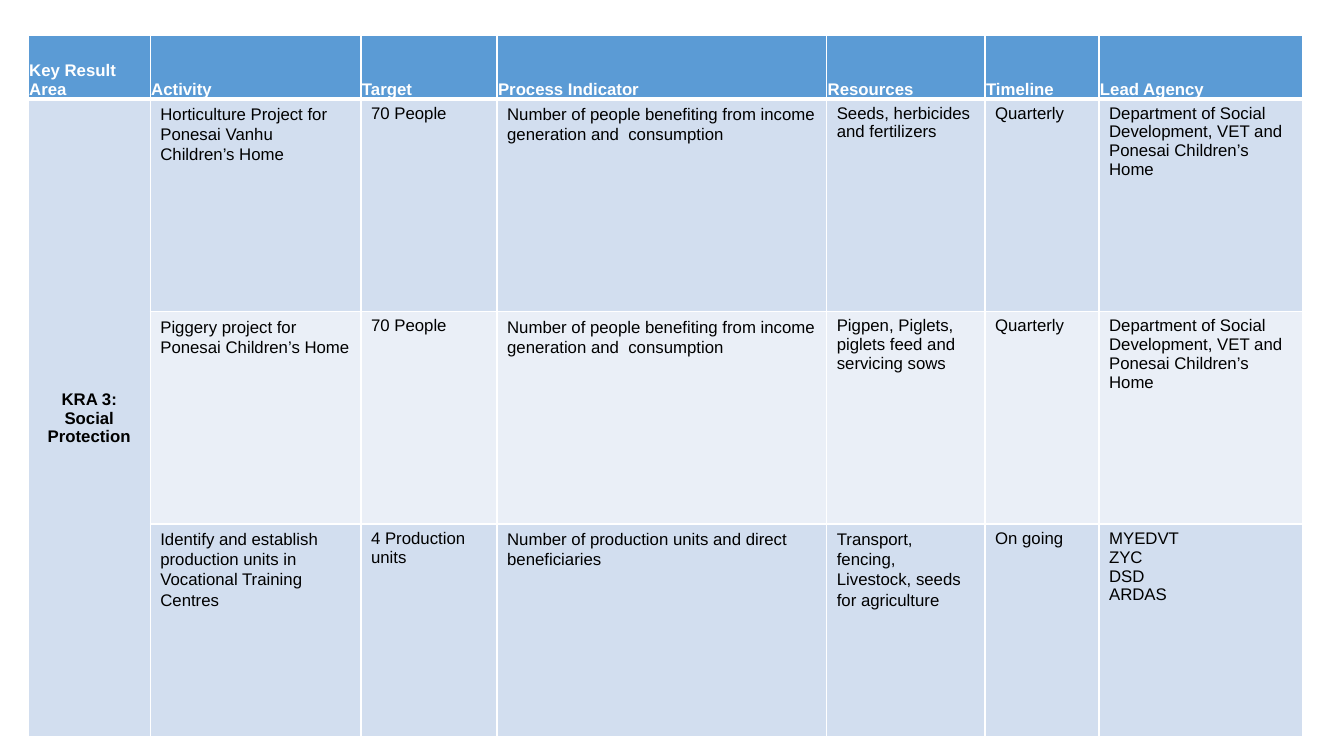
"""Build a slide with the social protection work plan table."""
from dataclasses import dataclass

import lxml.etree
import pptx
import pptx.dml.color
import pptx.enum.text
import pptx.oxml.ns
import pptx.table
import pptx.util

SLIDE_WIDTH = pptx.util.Inches(13.33)
SLIDE_HEIGHT = pptx.util.Inches(7.5)
LEFT, TOP = 2.1, 4.67
COLUMN_SHARES = [9.08, 15.68, 10.13, 24.53, 11.78, 8.48, 15.15]
ROW_SHARES = [8.4, 28.13, 28.13, 28.13]
HEADER_FILL, DARK_BAND, LIGHT_BAND = "5B9BD5", "D2DEEF", "EAEFF7"
WHITE, BLACK = "FFFFFF", "000000"
THIN, THICK = 1, 3
ANCHOR = pptx.enum.text.MSO_ANCHOR
ALIGN = pptx.enum.text.PP_ALIGN


@dataclass(frozen=True)
class Entry:
    text: str
    loose: bool = False


HEADINGS = ["Key Result Area", "Activity", "Target", "Process Indicator",
            "Resources", "Timeline", "Lead Agency"]
BENEFIT = Entry("Number of people benefiting from income generation and  consumption", True)
DEPARTMENT = Entry("Department of Social Development, VET and Ponesai Children’s Home")
ACTIVITIES = [
    [Entry("Horticulture Project for Ponesai Vanhu Children’s Home", True),
     Entry("70 People"), BENEFIT, Entry("Seeds, herbicides and fertilizers"),
     Entry("Quarterly"), DEPARTMENT],
    [Entry("Piggery project for Ponesai Children’s Home", True),
     Entry("70 People"), BENEFIT,
     Entry("Pigpen, Piglets, piglets feed and servicing sows"),
     Entry("Quarterly"), DEPARTMENT],
    [Entry("Identify and establish production units in Vocational Training Centres", True),
     Entry("4 Production units"),
     Entry("Number of production units and direct beneficiaries", True),
     Entry("Transport, fencing, Livestock, seeds for agriculture", True),
     Entry("On going"), Entry("MYEDVT\nZYC\nDSD\nARDAS")],
]


def across(share: float) -> int:
    """Return a percentage of the slide width."""
    return round(SLIDE_WIDTH * share / 100)


def down(share: float) -> int:
    """Return a percentage of the slide height."""
    return round(SLIDE_HEIGHT * share / 100)


def color(value: str) -> pptx.dml.color.RGBColor:
    """Turn a hex string into a colour."""
    return pptx.dml.color.RGBColor.from_string(value)


def set_borders(cell: pptx.table._Cell, top: int, bottom: int) -> None:
    """Give a cell white borders, ahead of its fill."""
    properties = cell._tc.get_or_add_tcPr()
    widths = {"a:lnL": THIN, "a:lnR": THIN, "a:lnT": top, "a:lnB": bottom}
    for position, (tag, width) in enumerate(widths.items()):
        line = lxml.etree.Element(pptx.oxml.ns.qn(tag), w=str(pptx.util.Pt(width)))
        fill = lxml.etree.SubElement(line, pptx.oxml.ns.qn("a:solidFill"))
        lxml.etree.SubElement(fill, pptx.oxml.ns.qn("a:srgbClr"), val=WHITE)
        properties.insert(position, line)


def write(cell: pptx.table._Cell, text: str, *, fill: str, ink: str = BLACK,
          bold: bool = False, loose: bool = False, tight: bool = False,
          align: ALIGN = ALIGN.LEFT, anchor: ANCHOR = ANCHOR.TOP,
          top: int = THIN, bottom: int = THIN) -> None:
    """Fill a cell with formatted text, one paragraph a line."""
    cell.fill.solid()
    cell.fill.fore_color.rgb = color(fill)
    cell.vertical_anchor = anchor
    if tight:
        cell.margin_left = cell.margin_right = cell.margin_top = pptx.util.Inches(0.01)
        cell.margin_bottom = 0
    set_borders(cell, top, bottom)
    cell.text = text
    for para in cell.text_frame.paragraphs:
        para.alignment = align
        if loose:
            para.line_spacing = 1.07
            para.space_after = pptx.util.Pt(8)
        for span in para.runs:
            span.font.name = "Arial"
            span.font.size = pptx.util.Pt(12)
            span.font.bold = bold
            span.font.color.rgb = color(ink)


def main() -> None:
    """Build and save the deck."""
    deck = pptx.Presentation()
    deck.slide_width, deck.slide_height = SLIDE_WIDTH, SLIDE_HEIGHT
    page = deck.slides.add_slide(deck.slide_layouts[6])
    plan = page.shapes.add_table(
        len(ROW_SHARES), len(COLUMN_SHARES), across(LEFT), down(TOP),
        across(sum(COLUMN_SHARES)), down(sum(ROW_SHARES))).table
    plan.horz_banding = False
    for column, share in zip(plan.columns, COLUMN_SHARES):
        column.width = across(share)
    for row, share in zip(plan.rows, ROW_SHARES):
        row.height = down(share)

    for index, heading in enumerate(HEADINGS):
        write(plan.cell(0, index), heading, fill=HEADER_FILL, ink=WHITE, bold=True,
              tight=True, anchor=ANCHOR.BOTTOM, bottom=THICK)

    result_area = plan.cell(1, 0)
    result_area.merge(plan.cell(len(ACTIVITIES), 0))
    write(result_area, "KRA 3:\nSocial Protection", fill=DARK_BAND, bold=True,
          tight=True, align=ALIGN.CENTER, anchor=ANCHOR.MIDDLE, top=THICK)

    for row_index, entries in enumerate(ACTIVITIES, start=1):
        band = DARK_BAND if row_index % 2 else LIGHT_BAND
        for column_index, entry in enumerate(entries, start=1):
            write(plan.cell(row_index, column_index), entry.text, fill=band,
                  loose=entry.loose, top=THICK if row_index == 1 else THIN)

    deck.save("out.pptx")


if __name__ == "__main__":
    main()
